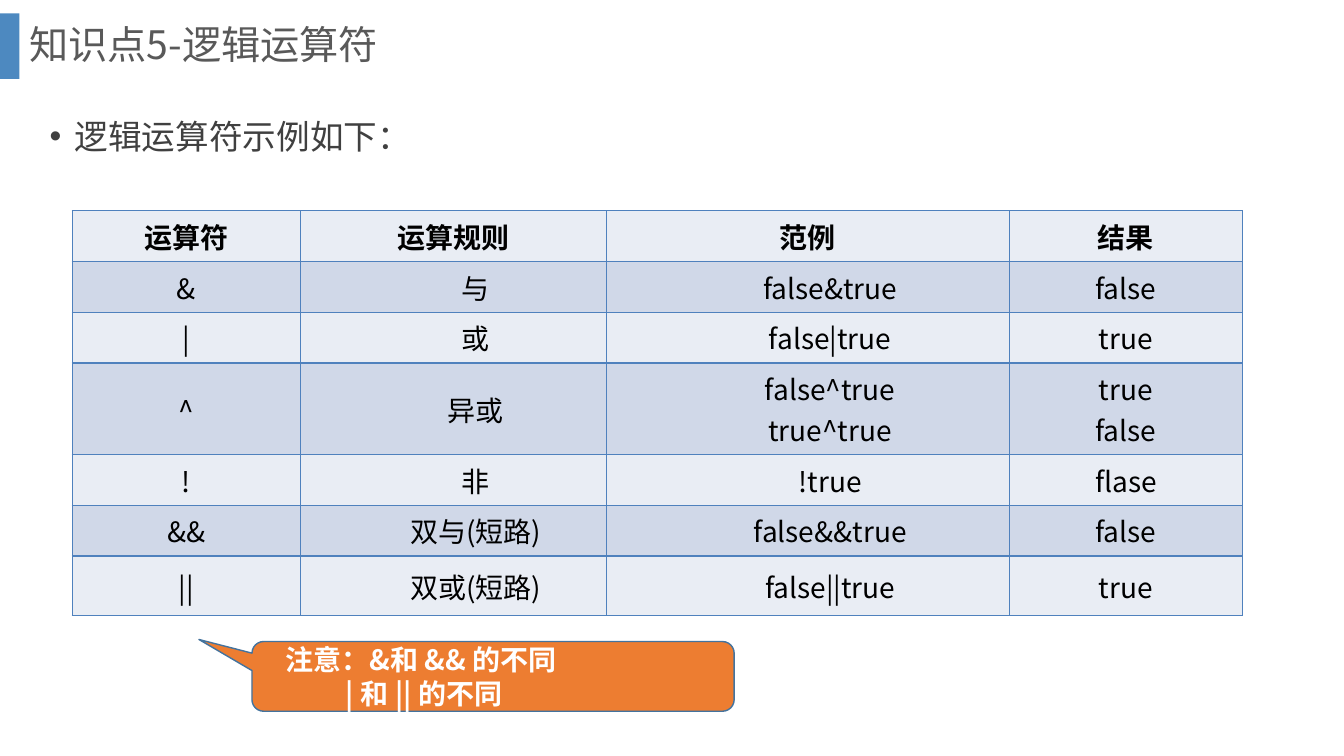
from dataclasses import dataclass

from lxml.etree import SubElement
from pptx import Presentation
from pptx.dml.color import RGBColor
from pptx.enum.shapes import MSO_SHAPE
from pptx.enum.text import MSO_ANCHOR, MSO_AUTO_SIZE, PP_ALIGN
from pptx.oxml.ns import qn
from pptx.util import Inches, Pt

FONT = "Noto Sans CJK SC"
COLORS = {
    "band": "2E75B6", "title": "595959", "body": "404040", "cell": "000000",
    "light": "E9EDF4", "dark": "D0D8E8", "border": "4F81BD",
    "callout": "ED7D31", "outline": "43739E", "note": "FFFFFF",
}
WIDTH, HEIGHT = Inches(13.33), Inches(7.5)
UNIT = WIDTH / 16  # the slide is a grid of 16 columns by 9 rows

COLUMNS = [2.72, 3.64, 4.8, 2.77]
ROWS = [0.6] * 6 + [0.71]
INDENTED_COLUMNS = (1, 2)
CELL_INDENT = 0.44


@dataclass
class Box:
    left: float
    top: float
    width: float
    height: float

    def emu(self) -> list[int]:
        return [grid(n) for n in (self.left, self.top, self.width, self.height)]


@dataclass
class Operator:
    symbol: str
    rule: str
    example: str
    result: str

    def texts(self) -> list[str]:
        return [self.symbol, self.rule, self.example, self.result]


@dataclass
class NoteLine:
    text: str
    margin: float


OPERATORS = [
    Operator("运算符", "运算规则", "范例", "结果"),
    Operator("&", "与", "false&true", "false"),
    Operator("|", "或", "false|true", "true"),
    Operator("^", "异或", "false^true\ntrue^true", "true\nfalse"),
    Operator("!", "非", "!true", "flase"),
    Operator("&&", "双与(短路)", "false&&true", "false"),
    Operator("||", "双或(短路)", "false||true", "true"),
]
NOTE = [NoteLine("注意：&和 && 的不同", 0.2), NoteLine("| 和 || 的不同", 0.8)]


def grid(n: float) -> int:
    return round(n * UNIT)


def rgb(name: str) -> RGBColor:
    return RGBColor.from_string(COLORS[name])


def style(p, size: float, color: str, bold: bool = False) -> None:
    f = p.font
    f.size, f.bold, f.name = Pt(size), bold, FONT
    f.color.rgb = rgb(color)
    latin = f._element.find(qn("a:latin"))
    latin.addnext(latin.makeelement(qn("a:ea"), {"typeface": FONT}))


def indent(p, margin: float, first: float) -> None:
    pPr = p._p.get_or_add_pPr()
    pPr.set("marL", str(Inches(margin)))
    pPr.set("indent", str(Inches(first)))


def place(sp, box: Box) -> None:
    sp.left, sp.top, sp.width, sp.height = box.emu()


def add_band(slide, box: Box) -> None:
    sp = slide.shapes.add_shape(MSO_SHAPE.RECTANGLE, *box.emu())
    sp.shadow.inherit = False
    sp.fill.solid()
    sp.fill.fore_color.rgb = rgb("band")
    color = sp._element.spPr.find(qn("a:solidFill"))[0]
    SubElement(color, qn("a:alpha"), val="85000")
    sp.line.fill.background()


def fill_title(sp, box: Box, text: str) -> None:
    place(sp, box)
    tf = sp.text_frame
    tf.text = text
    tf.auto_size = MSO_AUTO_SIZE.NONE
    tf.vertical_anchor = MSO_ANCHOR.MIDDLE
    p = tf.paragraphs[0]
    p.alignment, p.line_spacing = PP_ALIGN.LEFT, 0.9
    style(p, 28, "title")


def fill_body(sp, box: Box, text: str) -> None:
    place(sp, box)
    tf = sp.text_frame
    tf.text = text
    tf.auto_size = MSO_AUTO_SIZE.NONE
    tf.vertical_anchor = MSO_ANCHOR.TOP
    p = tf.paragraphs[0]
    indent(p, 0.25, -0.25)
    p.line_spacing, p.space_before = 1.5, Pt(0)
    SubElement(p._p.pPr, qn("a:buFont"), typeface="Arial")
    SubElement(p._p.pPr, qn("a:buChar"), char="•")
    style(p, 24, "body")


def add_borders(cell) -> None:
    tcPr = cell._tc.get_or_add_tcPr()
    for i, side in enumerate(("lnL", "lnR", "lnT", "lnB")):
        ln = tcPr.makeelement(qn(f"a:{side}"), {"w": str(Pt(1))})
        fill = SubElement(ln, qn("a:solidFill"))
        SubElement(fill, qn("a:srgbClr"), val=COLORS["border"])
        tcPr.insert(i, ln)


def add_operator_table(slide, left: float, top: float) -> None:
    box = Box(left, top, sum(COLUMNS), sum(ROWS))
    table = slide.shapes.add_table(len(ROWS), len(COLUMNS), *box.emu()).table
    table.horz_banding = False
    for column, width in zip(table.columns, COLUMNS):
        column.width = grid(width)
    for i, (height, operator) in enumerate(zip(ROWS, OPERATORS)):
        table.rows[i].height = grid(height)
        for j, text in enumerate(operator.texts()):
            cell = table.cell(i, j)
            cell.text = text
            cell.vertical_anchor = MSO_ANCHOR.MIDDLE
            cell.fill.solid()
            cell.fill.fore_color.rgb = rgb("dark" if i % 2 else "light")
            add_borders(cell)
            for p in cell.text_frame.paragraphs:
                p.alignment = PP_ALIGN.CENTER
                if i > 0 and j in INDENTED_COLUMNS:
                    indent(p, 0, CELL_INDENT)
                style(p, 20, "cell", bold=i == 0)


def add_callout(slide, box: Box) -> None:
    sp = slide.shapes.add_shape(MSO_SHAPE.ROUNDED_RECTANGULAR_CALLOUT, *box.emu())
    sp.adjustments[0], sp.adjustments[1] = -0.61, -0.53
    sp.shadow.inherit = False
    sp.fill.solid()
    sp.fill.fore_color.rgb = rgb("callout")
    sp.line.color.rgb = rgb("outline")
    sp.line.width = Pt(1)
    tf = sp.text_frame
    tf.word_wrap = True
    tf.vertical_anchor = MSO_ANCHOR.MIDDLE
    tf.text = "\n".join(line.text for line in NOTE)
    for p, line in zip(tf.paragraphs, NOTE):
        p.alignment = PP_ALIGN.LEFT
        indent(p, line.margin, 0)
        style(p, 20, "note", bold=True)


def main() -> None:
    prs = Presentation()
    prs.slide_width, prs.slide_height = WIDTH, HEIGHT
    slide = prs.slides.add_slide(prs.slide_layouts[1])
    title, body = slide.placeholders
    add_band(slide, Box(0, 0.16, 0.23, 0.78))
    fill_title(title, Box(0.23, 0, 15.19, 1.12), "知识点5-逻辑运算符")
    fill_body(body, Box(0.47, 1.08, 14.92, 1.5), "逻辑运算符示例如下：")
    add_operator_table(slide, 0.86, 2.51)
    add_callout(slide, Box(3, 7.64, 5.74, 0.83))
    prs.save("out.pptx")


if __name__ == "__main__":
    main()
